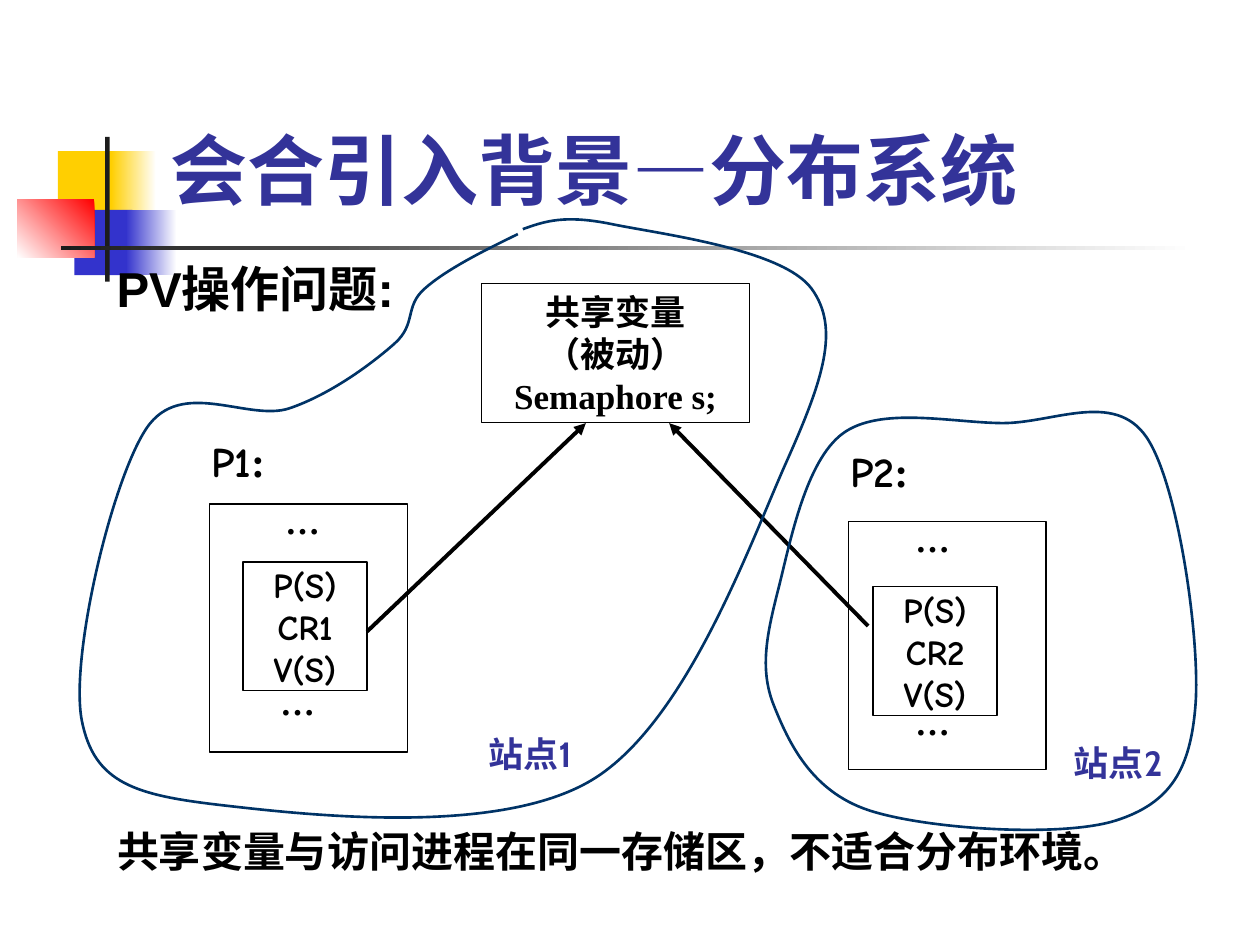
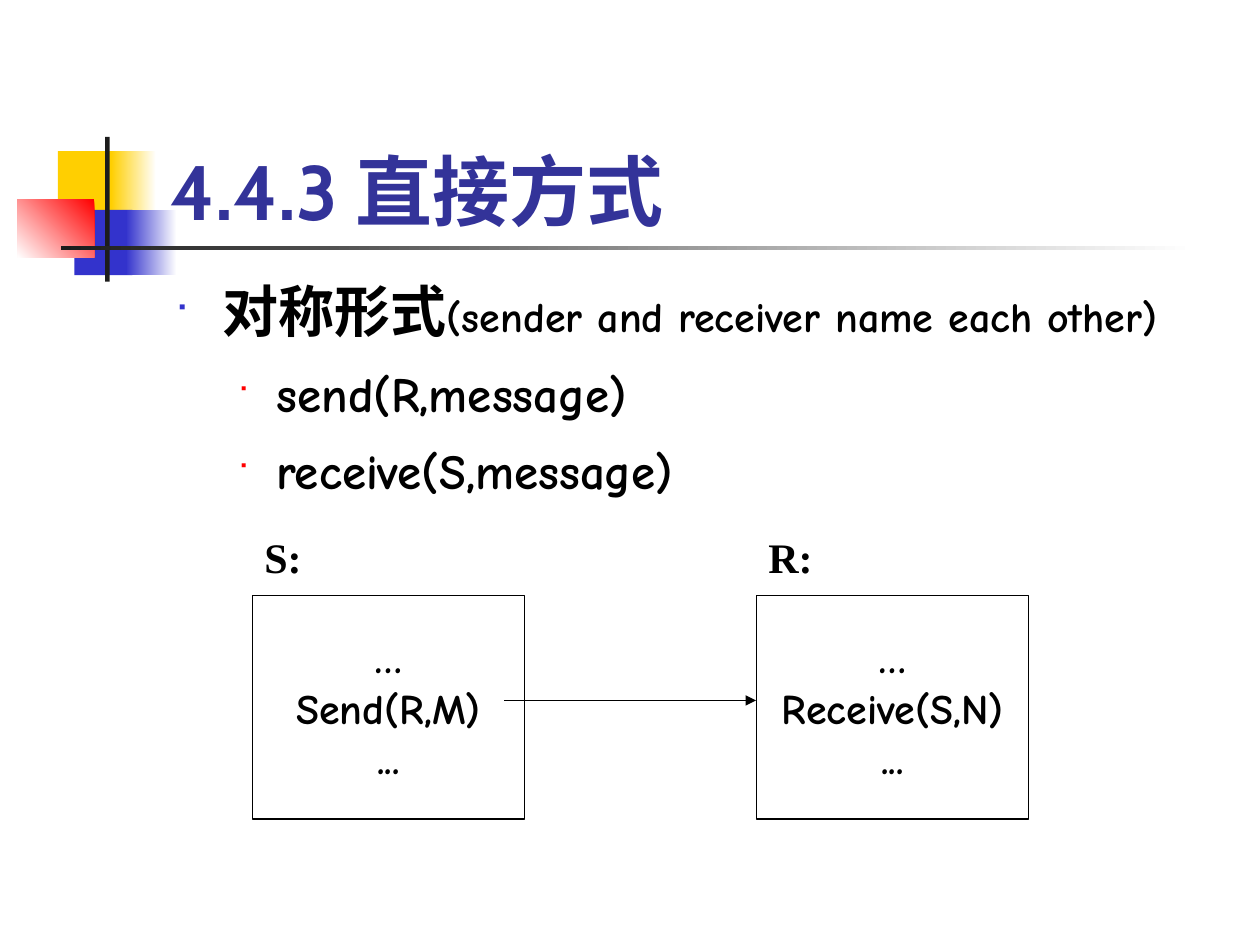
import pptx
import pptx.dml.color
import pptx.enum.shapes
import pptx.enum.text
import pptx.oxml
import pptx.oxml.ns
import pptx.util
from pptx.util import Cm

RGBColor = pptx.dml.color.RGBColor
ALIGN = pptx.enum.text.PP_ALIGN
ANCHOR = pptx.enum.text.MSO_ANCHOR

BLACK = RGBColor(0x00, 0x00, 0x00)
WHITE = RGBColor(0xFF, 0xFF, 0xFF)
TITLE_BLUE = RGBColor(0x33, 0x33, 0x99)
SITE_BLUE = RGBColor(0x00, 0x33, 0x66)
BLUE = RGBColor(0x33, 0x33, 0xCC)
YELLOW = RGBColor(0xFF, 0xCF, 0x01)
RED = RGBColor(0xFF, 0x00, 0x00)
CHARCOAL = RGBColor(0x1C, 0x1C, 0x1C)

SERIF = "Times New Roman"
COMIC = "Comic Neue"
CABIN = "Cabin"
HAN = "Noto Sans CJK SC"

BAND = [
    ((1.17, 3.05, 1.22, 1.32), YELLOW, None, 0),
    ((2.24, 3.05, 0.91, 1.32), WHITE, YELLOW, 180),
    ((1.5, 4.23, 1.17, 1.32), BLUE, None, 0),
    ((2.54, 4.23, 1.02, 1.32), WHITE, BLUE, 180),
    ((0.35, 4.02, 1.55, 1.17), RED, WHITE, 225),
    ((2.12, 2.76, 0.09, 2.92), CHARCOAL, None, 0),
    ((1.23, 4.95, 22.86, 0.09), WHITE, CHARCOAL, 180),
]
SITE_1 = [
    (12.98, 3.68), (10.44, 4.72), (8.56, 5.82), (7.95, 6.93), (5.84, 8.23),
    (2.95, 8.64), (1.65, 14.53), (4.45, 16.23), (11.94, 15.72),
    (15.85, 9.32), (16.36, 5.82), (12.34, 4.52), (10.54, 4.62), (9.75, 5.44),
]
SITE_2 = [
    (15.6, 14.22), (15.7, 11.84), (16.99, 8.74), (20.19, 8.53),
    (23.11, 8.81), (24.1, 14.22), (22.5, 16.54), (17.5, 16.33),
]


def lengths(values):
    return [Cm(value) for value in values]


def add_xml(parent, tag, **attributes):
    child = pptx.oxml.parse_xml(f'<a:{tag} {pptx.oxml.ns.nsdecls("a")}/>')
    for key, value in attributes.items():
        child.set(key, str(value))
    parent.append(child)
    return child


def write(shape, *lines, size=20, font=SERIF, color=BLACK, bold=True,
          align=ALIGN.LEFT, anchor=ANCHOR.TOP, wrap=True):
    frame = shape.text_frame
    frame.auto_size = pptx.enum.text.MSO_AUTO_SIZE.NONE
    frame.word_wrap = wrap
    frame.vertical_anchor = anchor
    for index, line in enumerate(lines):
        paragraph = frame.add_paragraph() if index else frame.paragraphs[0]
        paragraph.alignment = align
        pieces = [(line, font, size)] if isinstance(line, str) else line
        for words, typeface, points in pieces:
            run = paragraph.add_run()
            run.text = words
            run.font.name = typeface
            run.font.size = pptx.util.Pt(points)
            run.font.bold = bold
            run.font.color.rgb = color
            add_xml(run.font._element, "ea", typeface=HAN)
    return frame


def add_label(slide, place, *lines, **style):
    return write(slide.shapes.add_textbox(*lengths(place)), *lines, **style)


def add_box(slide, place, *lines, fill=None, **style):
    box = slide.shapes.add_shape(
        pptx.enum.shapes.MSO_SHAPE.RECTANGLE, *lengths(place))
    box.shadow.inherit = False
    if fill is None:
        box.fill.background()
    else:
        box.fill.solid()
        box.fill.fore_color.rgb = fill
    box.line.color.rgb = BLACK
    box.line.width = pptx.util.Pt(0.75)
    if lines:
        write(box, *lines, align=ALIGN.CENTER, anchor=ANCHOR.MIDDLE,
              wrap=False, **style)
    return box


def add_arrow(slide, start, end, width):
    arrow = slide.shapes.add_connector(
        pptx.enum.shapes.MSO_CONNECTOR.STRAIGHT, *lengths(start + end))
    arrow.line.color.rgb = BLACK
    arrow.line.width = pptx.util.Pt(width)
    add_xml(arrow.line._get_or_add_ln(), "tailEnd", type="triangle")
    add_xml(arrow._element.spPr, "effectLst")


def curve_points(nodes):
    points = [nodes[1]]
    for a, b, c, d in zip(nodes, nodes[1:], nodes[2:], nodes[3:]):
        points.append([q + (r - p) / 6 for p, q, r in zip(a, b, c)])
        points.append([r - (s - q) / 6 for q, r, s in zip(b, c, d)])
        points.append(c)
    return points


def add_site(slide, nodes, closed, name, name_at):
    if closed:
        nodes = [nodes[-1], *nodes, *nodes[:2]]
    points = [lengths(point) for point in curve_points(nodes)]
    builder = slide.shapes.build_freeform(*points[0])
    builder.add_line_segments(points[1:], close=closed)
    border = builder.convert_to_shape()
    segments = border.element.findall(".//" + pptx.oxml.ns.qn("a:lnTo"))
    for first, second, third in zip(*[iter(segments)] * 3):
        curve = add_xml(first.getparent(), "cubicBezTo")
        first.addprevious(curve)
        for segment in (first, second, third):
            curve.append(segment[0])
            segment.getparent().remove(segment)
    border.shadow.inherit = False
    border.fill.background()
    border.line.color.rgb = SITE_BLUE
    border.line.width = pptx.util.Pt(1.5)
    add_label(slide, name_at + (2.59, 1.12), name, font=CABIN,
              color=TITLE_BLUE)


def add_process(slide, number, label_at, frame_at, upper_at, section_at,
                lower_at):
    add_box(slide, frame_at + (3.99, 5))
    add_label(slide, label_at + (1.91, 1.27),
              [(f"P{number}", COMIC, 24), (":", SERIF, 24)])
    for dots_at in (upper_at, lower_at):
        add_label(slide, dots_at + (1.7, 1.12), "…", font=HAN)
    add_box(slide, section_at + (2.5, 2.59),
            "P(S)", f"CR{number}", "V(S)", font=COMIC)


def add_band(slide, layout):
    for placeholder in list(layout.placeholders)[1:]:
        layout.shapes.element.remove(placeholder.element)
    for index, (place, first, second, angle) in enumerate(BAND):
        piece = add_box(slide, place, fill=first)
        piece.line.fill.background()
        if second is not None:
            piece.fill.gradient()
            piece.fill.gradient_angle = angle
            for stop, color in zip(piece.fill.gradient_stops, (first, second)):
                stop.color.rgb = color
        layout.shapes.element.insert(2 + index, piece.element)


def add_titled_slide(deck, heading, top, height):
    slide = deck.slides.add_slide(deck.slide_layouts[5])
    title = slide.shapes.title
    title.left, title.top, title.width, title.height = lengths(
        (3.19, top, 21.64, height))
    write(title, heading, size=44, font=CABIN, color=TITLE_BLUE,
          anchor=ANCHOR.BOTTOM)
    return slide


def format_bullet(paragraph, level, indent, hanging, spacing, before, color,
                  percent):
    paragraph.level = level
    paragraph.line_spacing = spacing
    paragraph.space_before = pptx.util.Pt(before)
    properties = paragraph._p.get_or_add_pPr()
    properties.set("marL", str(Cm(indent)))
    properties.set("indent", str(-Cm(hanging)))
    add_xml(add_xml(properties, "buClr"), "srgbClr", val=color)
    add_xml(properties, "buSzPct", val=percent * 1000)
    add_xml(properties, "buFont", typeface="Wingdings", charset=2)
    add_xml(properties, "buChar", char="■")


def build_background_slide(deck):
    slide = add_titled_slide(deck, "会合引入背景—分布系统", 1.72, 2.74)
    add_band(slide, deck.slide_layouts[5])
    add_label(slide, (2.1, 5.08, 6.55, 1.45), "PV操作问题:", size=28,
              font="Arial", wrap=False)
    add_box(slide, (9.71, 5.72, 5.4, 2.8),
            "共享变量", "（被动）", "Semaphore s;")
    add_process(slide, 1, (4.01, 8.66), (4.23, 10.16),
                (5.51, 10.16), (4.9, 11.33), (5.41, 13.82))
    add_process(slide, 2, (16.89, 8.86), (17.1, 10.52),
                (18.21, 10.52), (17.6, 11.83), (18.21, 14.22))
    add_arrow(slide, (7.4, 12.73), (11.81, 8.53), 2.25)
    add_arrow(slide, (17.5, 12.62), (13.49, 8.53), 2.25)
    add_site(slide, SITE_1, False, "站点1", (9.6, 14.64))
    add_site(slide, SITE_2, True, "站点2", (21.4, 14.83))
    add_label(slide, (2.11, 16.51, 21.59, 1.27),
              "共享变量与访问进程在同一存储区，不适合分布环境。", size=24)


def build_direct_slide(deck):
    slide = add_titled_slide(deck, "4.4.3 直接方式", 1.7, 3.18)
    forms = add_label(
        slide, (3.27, 5.61, 21.59, 5.54),
        [("对称形式", CABIN, 32),
         ("(sender and receiver name each other)", COMIC, 24)],
        "send(R,message)", "receive(S,message)", size=28, font=COMIC)
    symmetric, *calls = forms.paragraphs
    format_bullet(symmetric, 0, 0.97, 0.97, 0.9, 0, BLUE, 60)
    for call in calls:
        format_bullet(call, 1, 2.06, 0.79, 1.1, 7, RED, 55)
    for left, name, call, width in ((5.08, "S:", "Send(R,M)", 1.47),
                                    (15.24, "R:", "Receive(S,N)", 1.91)):
        add_label(slide, (left, 10.59, width, 1.27), name, size=24)
        add_box(slide, (left + 0.01, 12.01, 5.49, 4.5), "…", call, "...",
                fill=WHITE, size=24, font=COMIC)
    add_arrow(slide, (10.16, 14.12), (15.24, 14.12), 0.75)


def main():
    deck = pptx.Presentation()
    deck.slide_width, deck.slide_height = Cm(25.4), Cm(19.05)
    build_background_slide(deck)
    build_direct_slide(deck)
    deck.save("out.pptx")


if __name__ == "__main__":
    main()
